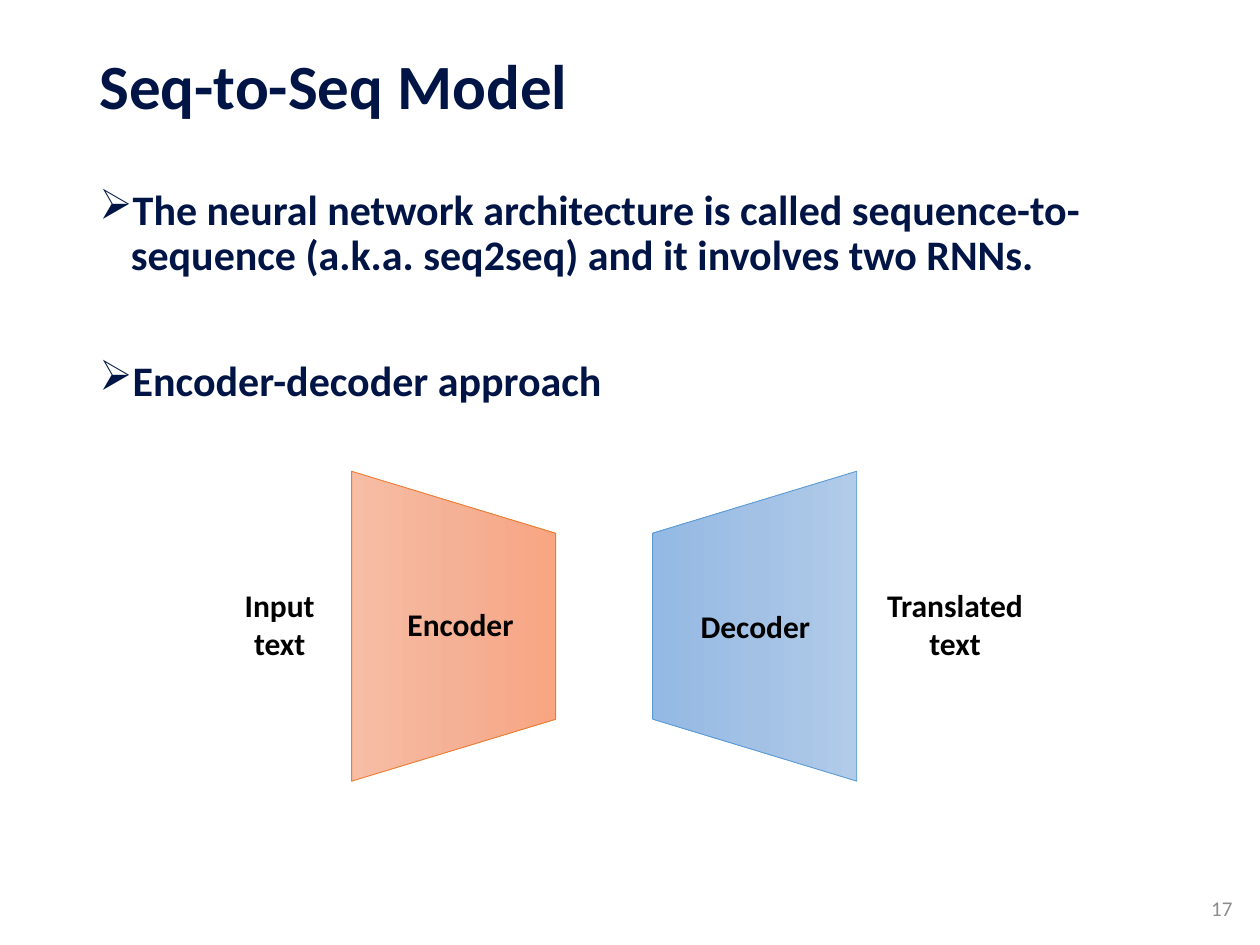
import copy
from dataclasses import dataclass

import pptx
import pptx.dml.color
import pptx.enum.shapes
import pptx.enum.text
import pptx.oxml
import pptx.oxml.ns
import pptx.util

W, H = 10, 7.5
FONT = "Calibri"
COLORS = {"navy": "001545", "black": "000000", "gray": "8C8C8C",
          "orange": "ED7D31", "blue": "5B9BD5"}
GRADIENTS = {"orange": ("F7BDA5", "F5B196", "F8A582"),
             "blue": ("B1CBE9", "A3C1E5", "93B9E4")}
ALIGN = pptx.enum.text.PP_ALIGN
ANCHOR = pptx.enum.text.MSO_ANCHOR
inch = pptx.util.Inches


@dataclass
class Box:
    left: float
    top: float
    width: float
    height: float

    def emu(self) -> tuple:
        return tuple(inch(v) for v in (self.left, self.top, self.width, self.height))


@dataclass
class Coder:
    """A trapezoid whose wide side faces its text."""
    name: str
    color: str
    left: float
    rotation: int
    label: Box


@dataclass
class Label:
    text: str
    box: Box


def rgb(value: str) -> pptx.dml.color.RGBColor:
    return pptx.dml.color.RGBColor.from_string(value)


def add_bullet(p, char: str, indent: float) -> None:
    pPr = p._p.get_or_add_pPr()
    pPr.set("marL", str(inch(indent)))
    pPr.set("indent", str(-inch(indent)))
    pPr.append(pptx.oxml.parse_xml(
        f'<a:buChar {pptx.oxml.ns.nsdecls("a")} char="{char}"/>'))


def add_text(s, box: Box, *paragraphs: str, size: float = 18, color: str = "black",
             bold: bool = True, align=ALIGN.LEFT, anchor=ANCHOR.TOP,
             spacing: float = 1.0, gap: float = 0, bullet: str = "") -> None:
    tf = s.shapes.add_textbox(*box.emu()).text_frame
    tf.word_wrap = True
    tf.vertical_anchor = anchor
    for i, text in enumerate(paragraphs):
        p = tf.paragraphs[0] if i == 0 else tf.add_paragraph()
        if bullet:
            add_bullet(p, bullet, 0.25)
        p.alignment = align
        p.line_spacing = spacing
        if i:
            p.space_before = pptx.util.Pt(gap)
        r = p.add_run()
        r.text = text
        r.font.name = FONT
        r.font.size = pptx.util.Pt(size)
        r.font.bold = bold
        r.font.color.rgb = rgb(COLORS[color])


def fill_gradient(sp, colors: tuple) -> None:
    sp.fill.gradient()
    sp.fill.gradient_angle = 270
    first = sp._element.spPr.find(".//" + pptx.oxml.ns.qn("a:gs"))
    first.addnext(copy.deepcopy(first))
    stops = sp.fill.gradient_stops
    for i, (stop, color) in enumerate(zip(stops, colors)):
        stop.position = i / (len(colors) - 1)
        stop.color.rgb = rgb(color)


def add_coder(s, coder: Coder) -> None:
    sp = s.shapes.add_shape(
        pptx.enum.shapes.MSO_SHAPE.FLOWCHART_MANUAL_OPERATION,
        *Box(coder.left, 4.16, 2.46, 1.62).emu())
    sp.rotation = coder.rotation
    sp.shadow.inherit = False
    fill_gradient(sp, GRADIENTS[coder.color])
    sp.line.color.rgb = rgb(COLORS[coder.color])
    sp.line.width = pptx.util.Pt(0.5)
    add_text(s, coder.label, coder.name, align=ALIGN.CENTER)


def main() -> None:
    prs = pptx.Presentation()
    prs.slide_width, prs.slide_height = inch(W), inch(H)
    s = prs.slides.add_slide(prs.slide_layouts[6])

    # Title, bullets and page number
    margin = 0.069 * W
    content = W - 2 * margin
    add_text(s, Box(margin, 0.2, content, 1.02), "Seq-to-Seq Model",
             size=36, color="navy", anchor=ANCHOR.MIDDLE, spacing=0.9)
    add_text(s, Box(margin, 1.45, content, 5.45),
             "The neural network architecture is called sequence-to-sequence "
             "(a.k.a. seq2seq) and it involves two RNNs.",
             "Encoder-decoder approach",
             size=24, color="navy", spacing=0.9, gap=46, bullet="➢")
    add_text(s, Box(9.36, 7.01, 0.52, 0.4), "17", size=12, color="gray",
             bold=False, align=ALIGN.RIGHT, anchor=ANCHOR.MIDDLE)

    # Encoder and decoder
    for coder in (Coder("Encoder", "orange", 2.37, 270, Box(3.01, 4.75, 1.29, 0.4)),
                  Coder("Decoder", "blue", 4.76, 90, Box(5.35, 4.77, 1.29, 0.4))):
        add_coder(s, coder)

    # Texts at both ends
    for label in (Label("Input text", Box(1.66, 4.6, 1.12, 0.71)),
                  Label("Translated text", Box(6.82, 4.6, 1.52, 0.71))):
        add_text(s, label.box, label.text, align=ALIGN.CENTER)

    prs.save("out.pptx")


if __name__ == "__main__":
    main()
